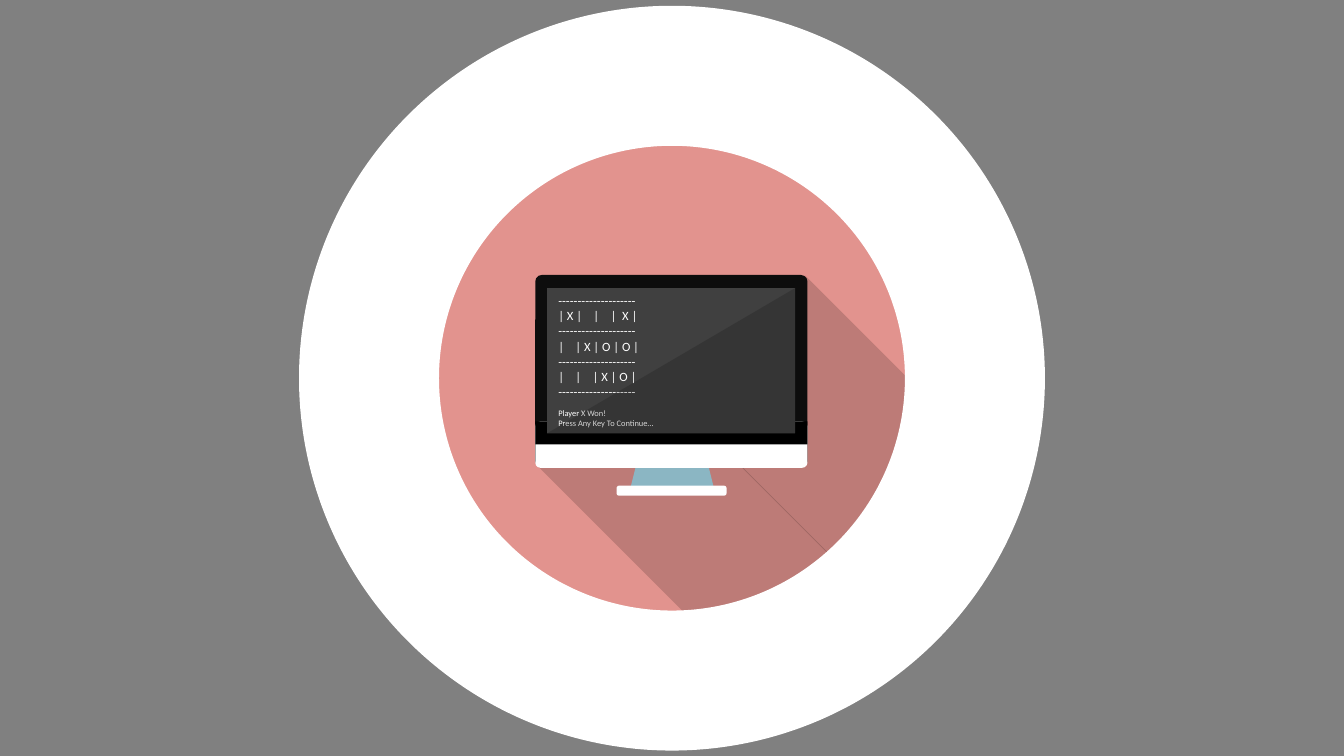
from dataclasses import dataclass
from typing import Optional

from pptx import Presentation
from pptx.dml.color import RGBColor
from pptx.enum.shapes import MSO_SHAPE as Geo
from pptx.enum.text import MSO_AUTO_SIZE as Fit
from pptx.oxml.ns import qn
from pptx.oxml.xmlchemy import OxmlElement as Node
from pptx.util import Cm, Pt

Box = tuple[float, float, float, float]  # left, top, width, height in cm
FONT = "Calibri"
WHITE, BLACK = "FFFFFF", "000000"
SHADE = 16  # opacity of the shadows, percent
SCREEN: Box = (13.79, 7.26, 6.25, 3.66)
RULE = "-" * 20


@dataclass
class Part:
    geo: Geo
    box: Box
    fill: Optional[str] = None
    alpha: Optional[int] = None
    turn: float = 0
    round: Optional[float] = None
    flip: bool = False
    line: Optional[str] = None
    width: float = 0


@dataclass
class Label:
    box: Box
    size: float
    wrap: bool
    rows: list[str]


def paint(fill, tone: str, alpha: Optional[int] = None) -> None:
    """Give a fill a solid colour, see-through when alpha is set."""
    fill.solid()
    fill.fore_color.rgb = RGBColor.from_string(tone)
    if alpha is not None:
        node = Node("a:alpha")
        node.set("val", str(alpha * 1000))
        fill._xPr.find(qn("a:solidFill"))[0].append(node)


def draw(slide, part: Part) -> None:
    shape = slide.shapes.add_shape(part.geo, *map(Cm, part.box))
    shape.shadow.inherit = False
    shape.rotation = part.turn
    if part.fill:
        paint(shape.fill, part.fill, part.alpha)
    else:
        shape.fill.background()
    if part.line:
        paint(shape.line.fill, part.line)
        shape.line.width = Pt(part.width)
    else:
        shape.line.fill.background()
    if part.round is not None:
        shape.adjustments[0] = part.round
    if part.flip:
        shape.element.spPr.find(qn("a:xfrm")).set("flipH", "1")


def write(slide, label: Label) -> None:
    frame = slide.shapes.add_textbox(*map(Cm, label.box)).text_frame
    look = {"word_wrap": label.wrap, "auto_size": Fit.SHAPE_TO_FIT_TEXT}
    for key, value in look.items():
        setattr(frame, key, value)
    frame.text = "\n".join(label.rows)
    style = {"name": FONT, "size": Pt(label.size)}
    for para in frame.paragraphs:
        for run in para.runs:
            for key, value in style.items():
                setattr(run.font, key, value)
            paint(run.font.fill, WHITE)


# Parts from back to front
ITEMS = [
    # Disc and the computer with its long shadow
    Part(Geo.OVAL, (10.92, 3.53, 12.01, 12.01), "E2938E"),
    Part(Geo.RECTANGLE, (17.7, 8.66, 6.73, 4.55), BLACK, SHADE, turn=45),
    Part(Geo.ROUNDED_RECTANGLE, (13.49, 6.93, 6.86, 4.85), "0D0D0D", round=0.034),
    Part(Geo.TRAPEZOID, (15.85, 11.79, 2.18, 0.66), "A6DAE9"),
    Part(Geo.RECTANGLE, (13.84, 11.02, 6.73, 3.63), BLACK, SHADE, turn=45),
    Part(Geo.ROUNDED_RECTANGLE, (13.49, 10.62, 6.86, 1.17), WHITE, round=0.114),
    Part(Geo.RECTANGLE, (13.49, 10.62, 6.86, 0.58), BLACK),
    Part(Geo.RECTANGLE, SCREEN, "404040"),
    Part(Geo.ROUNDED_RECTANGLE, (15.54, 12.24, 2.77, 0.25), WHITE, round=0.235),
    # Game on the screen
    Label((13.82, 7.26, 2.72, 2.95), 9, False, [
        RULE, "| X |    |    |  X |",
        RULE, "|    | X | O | O |",
        RULE, "|    |    | X | O |",
        RULE,
    ]),
    Label((13.82, 10.16, 4.01, 0.76), 6, True,
          ["Player X Won!", "Press Any Key To Continue…"]),
    # Glare and outer ring
    Part(Geo.RIGHT_TRIANGLE, SCREEN, BLACK, SHADE, flip=True),
    Part(Geo.OVAL, (9.3, 1.91, 15.27, 15.24), line=WHITE, width=100),
]


def main() -> None:
    deck = Presentation()
    deck.slide_width, deck.slide_height = Cm(33.87), Cm(19.05)
    slide = deck.slides.add_slide(deck.slide_layouts[6])
    paint(slide.background.fill, "808080")
    for item in ITEMS:
        if isinstance(item, Part):
            draw(slide, item)
        else:
            write(slide, item)
    deck.save("out.pptx")


if __name__ == "__main__":
    main()
